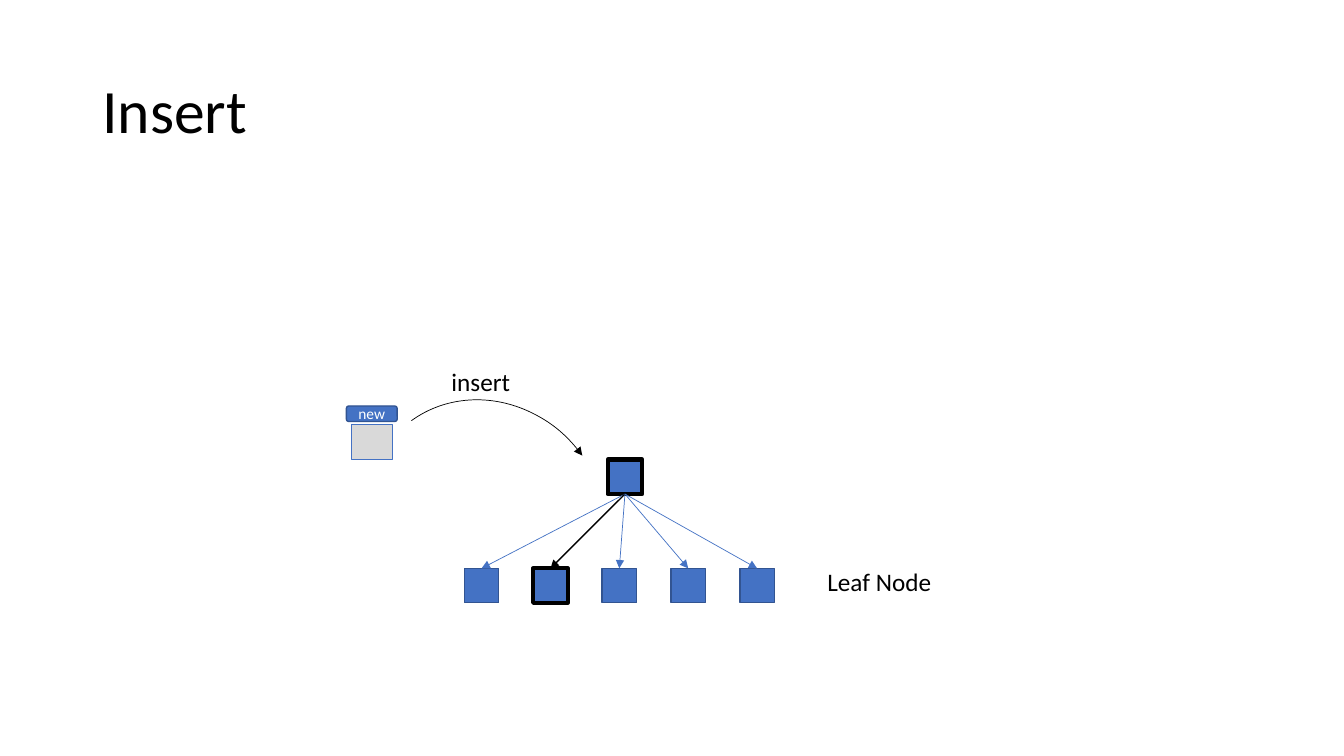
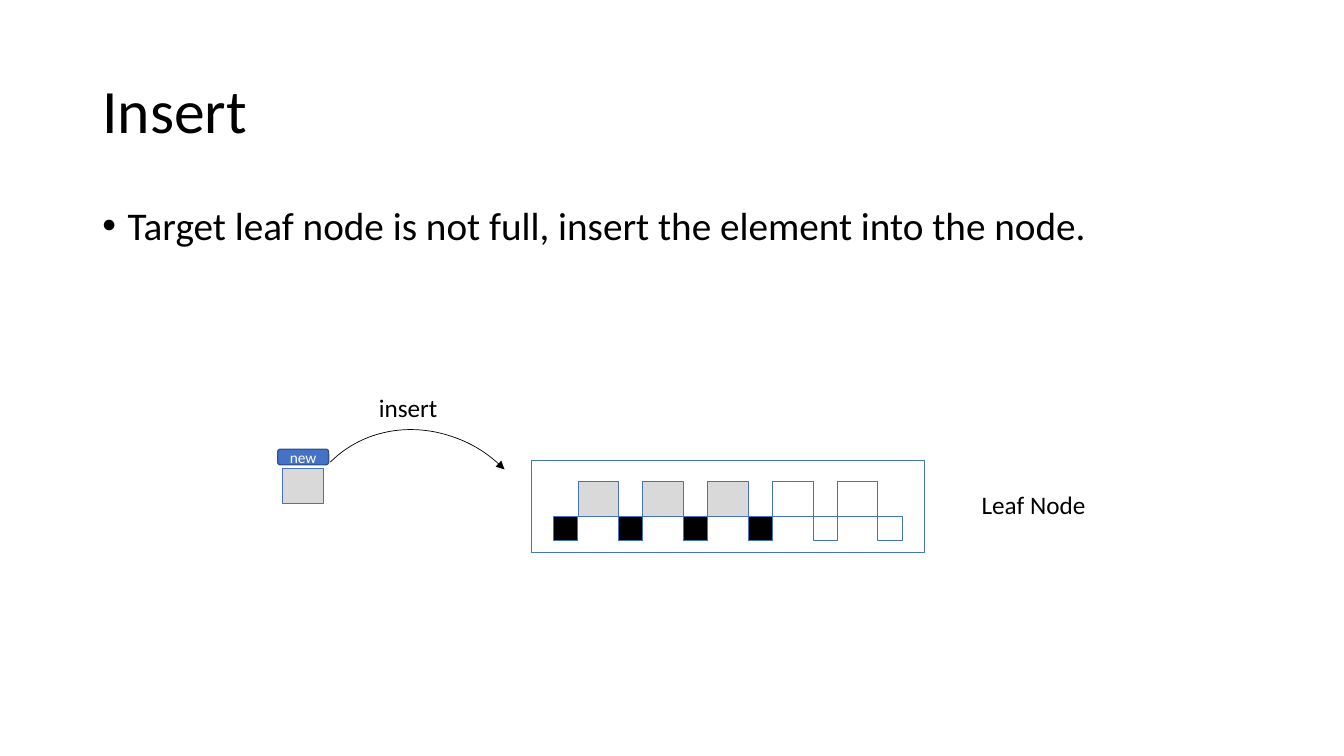
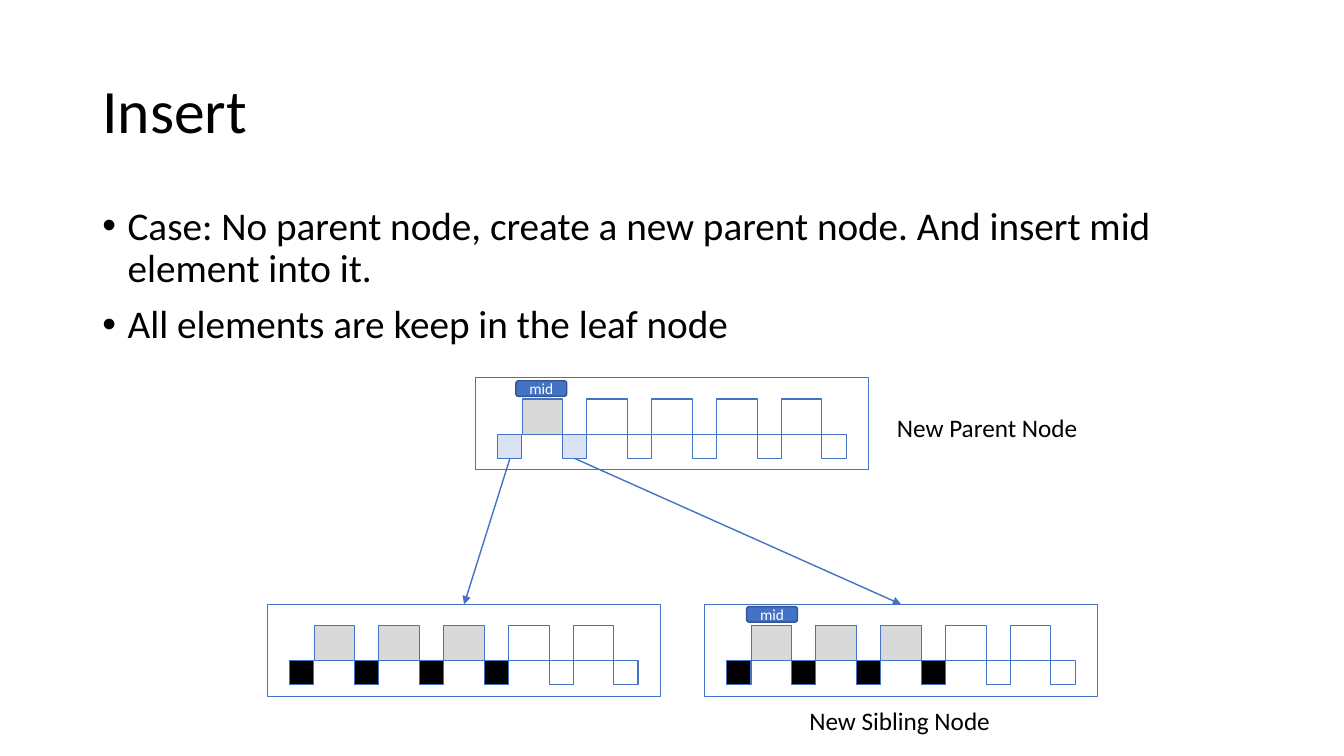
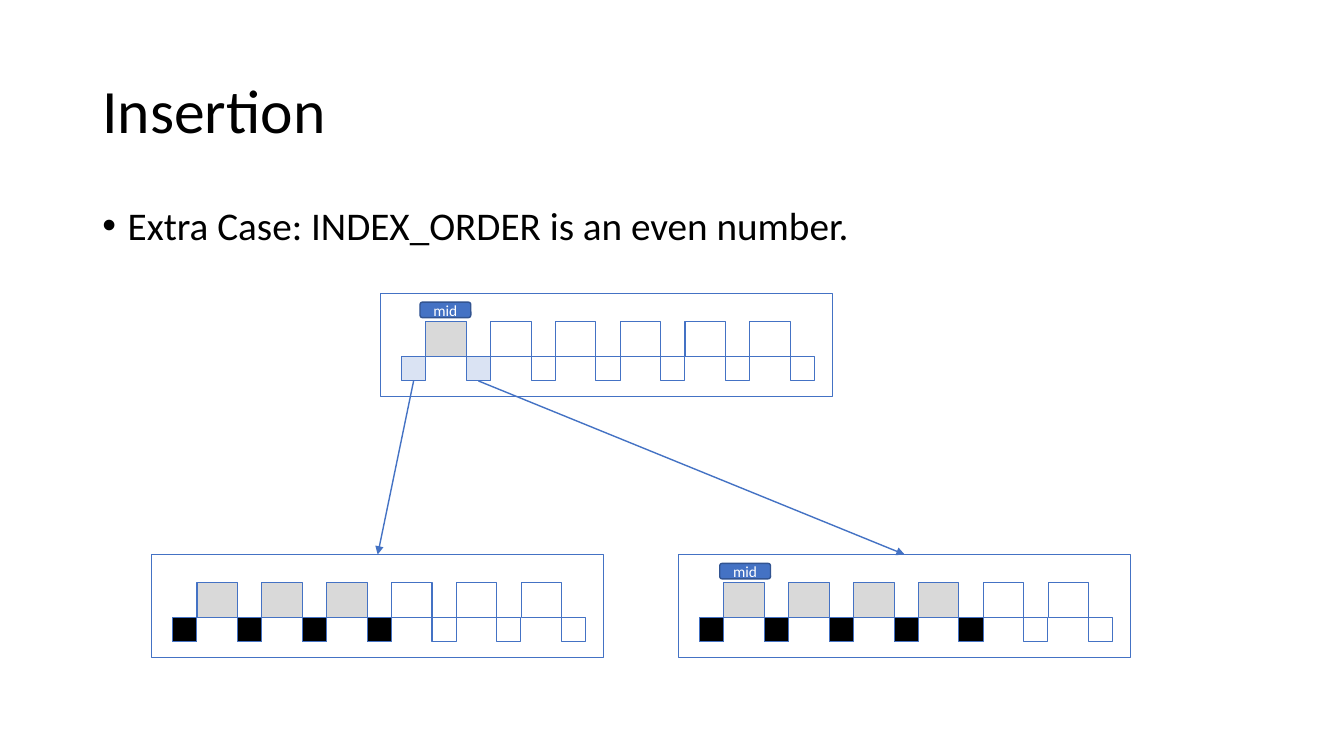
"""Build four slides on inserting into a B+ tree."""
from lxml.etree import SubElement
from pptx import Presentation
from pptx.dml.color import RGBColor
from pptx.enum.shapes import MSO_CONNECTOR, MSO_SHAPE
from pptx.enum.text import MSO_ANCHOR, MSO_AUTO_SIZE, PP_ALIGN
from pptx.oxml.ns import qn
from pptx.util import Pt

BLACK = RGBColor(0x00, 0x00, 0x00)
WHITE = RGBColor(0xFF, 0xFF, 0xFF)
BLUE = RGBColor(0x44, 0x72, 0xC4)
DARK_BLUE = RGBColor(0x32, 0x54, 0x91)
PALE_BLUE = RGBColor(0xDA, 0xE3, 0xF3)
GRAY = RGBColor(0xD9, 0xD9, 0xD9)
FONT = "Calibri"

KEY_WIDTH, KEY_HEIGHT = 29, 25.2
POINTER = 17.3
PITCH = KEY_WIDTH + POINTER
TREE_NODE = 24.6
LEAF_PITCH = 49.2


def add_box(shapes, geometry, left, top, width, height, fill, border=BLUE, weight=0.75):
    box = shapes.add_shape(geometry, Pt(left), Pt(top), Pt(width), Pt(height))
    box.shadow.inherit = False
    if fill is None:
        box.fill.background()
    else:
        box.fill.solid()
        box.fill.fore_color.rgb = fill
    box.line.color.rgb = border
    box.line.width = Pt(weight)
    return box


def style_arrow(arrow, color, weight):
    arrow.line.color.rgb = color
    arrow.line.width = Pt(weight)
    properties = arrow.element.spPr
    SubElement(properties.find(qn("a:ln")), qn("a:tailEnd"), type="triangle")
    SubElement(properties, qn("a:effectLst"))


deck = Presentation()
deck.slide_width, deck.slide_height = Pt(960), Pt(540)

contents = [
    ("Insert", []),
    ("Insert", ["Target leaf node is not full, insert the element into the node."]),
    ("Insert", ["Case: No parent node, create a new parent node. And insert mid element into it.",
                "All elements are keep in the leaf node"]),
    ("Insertion", ["Extra Case: INDEX_ORDER is an even number."]),
]
for heading, bullets in contents:
    slide = deck.slides.add_slide(deck.slide_layouts[1 if bullets else 5])
    title = slide.shapes.title
    title.left, title.top, title.width, title.height = Pt(66), Pt(28.8), Pt(828), Pt(104.4)
    title.text_frame.text = heading
    title.text_frame.vertical_anchor = MSO_ANCHOR.MIDDLE
    title.text_frame.auto_size = MSO_AUTO_SIZE.NONE
    paragraph = title.text_frame.paragraphs[0]
    paragraph.alignment = PP_ALIGN.LEFT
    paragraph.line_spacing = 0.9
    paragraph.font.name, paragraph.font.size = FONT, Pt(44)
    paragraph.font.color.rgb = BLACK
    if bullets:
        body = slide.placeholders[1]
        body.left, body.top, body.width, body.height = Pt(66), Pt(143.8), Pt(828), Pt(342.6)
        body.text_frame.text = "\n".join(bullets)
        body.text_frame.auto_size = MSO_AUTO_SIZE.NONE
        for paragraph in body.text_frame.paragraphs:
            paragraph.line_spacing = 0.9
            paragraph.space_before = Pt(10)
            paragraph.font.name, paragraph.font.size = FONT, Pt(28)
            paragraph.font.color.rgb = BLACK
            indents = paragraph._p.get_or_add_pPr()
            indents.set("marL", str(Pt(18)))
            indents.set("indent", str(Pt(-18)))

search, simple_insert, split, even_split = [slide.shapes for slide in deck.slides]

root = add_box(search, MSO_SHAPE.RECTANGLE, 434.1, 328.3, TREE_NODE, TREE_NODE, BLUE, BLACK, 3)
for position in range(5):
    chosen = position == 1
    leaf = add_box(search, MSO_SHAPE.RECTANGLE, 331.7 + position * LEAF_PITCH, 406,
                   TREE_NODE, TREE_NODE, BLUE,
                   BLACK if chosen else DARK_BLUE, 3 if chosen else 1)
    branch = search.add_connector(MSO_CONNECTOR.STRAIGHT, 0, 0, 0, 0)
    branch.begin_connect(root, 2)
    branch.end_connect(leaf, 0)
    style_arrow(branch, BLACK if chosen else BLUE, 1 if chosen else 0.5)

nodes = [
    (simple_insert, 5, 379.6, 328.9, 3, BLACK),
    (split, 5, 191, 431.7, 3, BLACK),
    (split, 5, 503.2, 431.7, 3, BLACK),
    (split, 5, 339.6, 270, 1, PALE_BLUE),
    (even_split, 6, 108.4, 396.1, 3, BLACK),
    (even_split, 6, 484.8, 396.1, 4, BLACK),
    (even_split, 6, 271.8, 209.6, 1, PALE_BLUE),
]
node_sizes = {5: (281, 65.7, 16, 15), 6: (322.8, 73.4, 15, 20)}
frames, pointer_rows = [], []
for shapes, order, left, top, used, pointer_color in nodes:
    width, height, inset, key_offset = node_sizes[order]
    node = shapes.add_group_shape().shapes
    frames.append(add_box(node, MSO_SHAPE.RECTANGLE, left, top, width, height, None))
    row_left, row_top = left + inset, top + key_offset
    for index in range(order):
        add_box(node, MSO_SHAPE.RECTANGLE, row_left + POINTER + index * PITCH, row_top,
                KEY_WIDTH, KEY_HEIGHT, GRAY if index < used else WHITE)
    pointer_rows.append([
        add_box(node, MSO_SHAPE.RECTANGLE, row_left + index * PITCH, row_top + KEY_HEIGHT,
                POINTER, POINTER, pointer_color if index <= used else WHITE)
        for index in range(order + 1)
    ])

for shapes, parent, children in [(split, 3, (1, 2)), (even_split, 6, (4, 5))]:
    for pointer, child in zip(pointer_rows[parent], children):
        link = shapes.add_connector(MSO_CONNECTOR.STRAIGHT, 0, 0, 0, 0)
        link.begin_connect(pointer, 2)
        link.end_connect(frames[child], 0)
        style_arrow(link, BLUE, 1)

for shapes, key_left, key_top, arc_left, arc_top, rotation in [
    (search, 251.2, 303.1, 263.5, 283, 324.1),
    (simple_insert, 201.8, 334.6, 216.7, 303.1, 314.9),
]:
    add_box(shapes, MSO_SHAPE.RECTANGLE, key_left, key_top, KEY_WIDTH, KEY_HEIGHT, GRAY)
    path_arc = shapes.add_shape(MSO_SHAPE.ARC, Pt(arc_left), Pt(arc_top), Pt(168.5), Pt(183.6))
    path_arc.rotation = rotation
    path_arc.fill.background()
    style_arrow(path_arc, BLACK, 0.5)

for shapes, wording, left, top in [
    (search, "new", 247.4, 290),
    (simple_insert, "new", 198.4, 320.9),
    (split, "mid", 368.5, 272),
    (split, "mid", 533.3, 433.3),
    (even_split, "mid", 300, 215.8),
    (even_split, "mid", 514.1, 402.4),
]:
    tag = add_box(shapes, MSO_SHAPE.ROUNDED_RECTANGLE, left, top, 36.3, 11.1, BLUE, DARK_BLUE, 1)
    frame = tag.text_frame
    frame.margin_left = frame.margin_right = frame.margin_top = frame.margin_bottom = 0
    frame.vertical_anchor = MSO_ANCHOR.MIDDLE
    frame.text = wording
    paragraph = frame.paragraphs[0]
    paragraph.alignment = PP_ALIGN.CENTER
    paragraph.font.name, paragraph.font.size = FONT, Pt(11)
    paragraph.font.color.rgb = WHITE

for shapes, wording, left, top, width in [
    (search, "Leaf Node", 583.9, 401.3, 90),
    (search, "insert", 315.4, 258, 56.9),
    (simple_insert, "Leaf Node", 694.1, 345.6, 90),
    (simple_insert, "insert", 263.5, 276.5, 56.9),
    (split, "New Parent Node", 633.6, 290.9, 144.7),
    (split, "New Sibling Node", 571, 500.4, 145.4),
]:
    label = shapes.add_textbox(Pt(left), Pt(top), Pt(width), Pt(29.1))
    label.text_frame.word_wrap = False
    label.text_frame.auto_size = MSO_AUTO_SIZE.SHAPE_TO_FIT_TEXT
    label.text_frame.text = wording
    paragraph = label.text_frame.paragraphs[0]
    paragraph.font.name, paragraph.font.size = FONT, Pt(18)
    paragraph.font.color.rgb = BLACK

deck.save("out.pptx")
